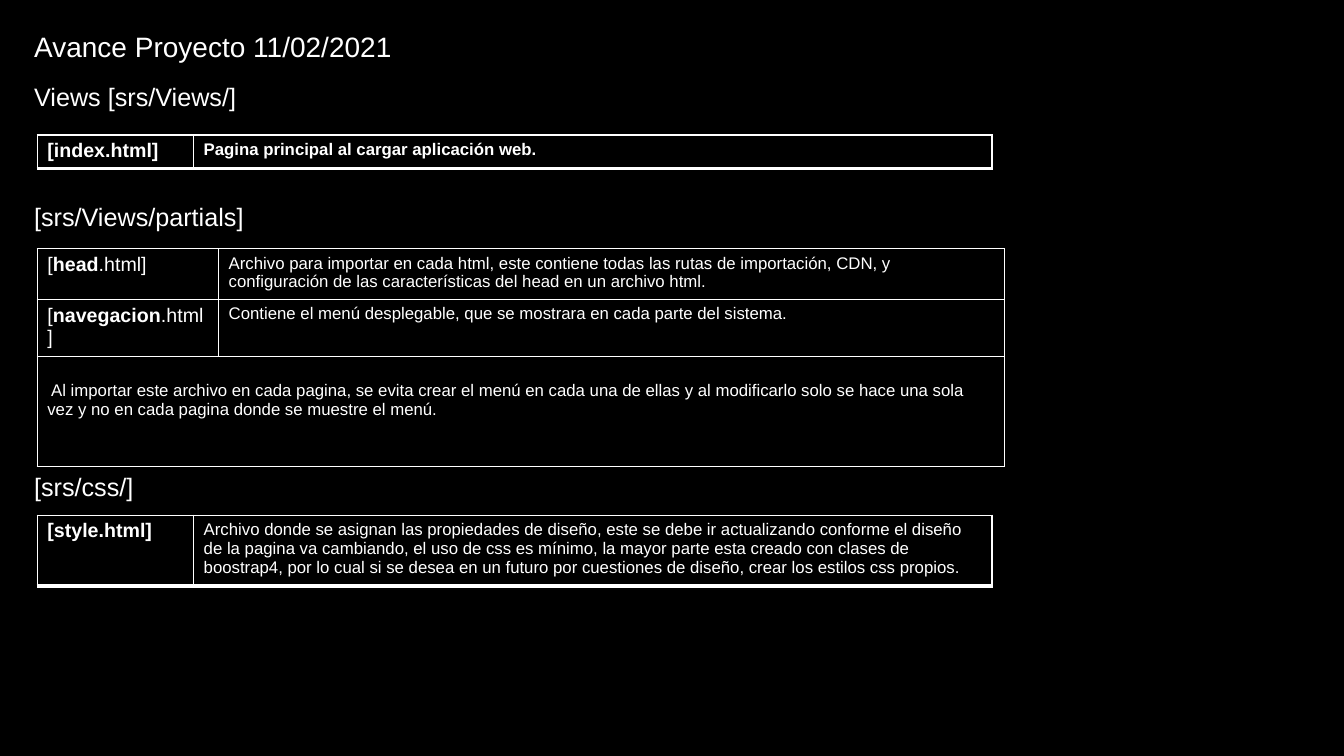
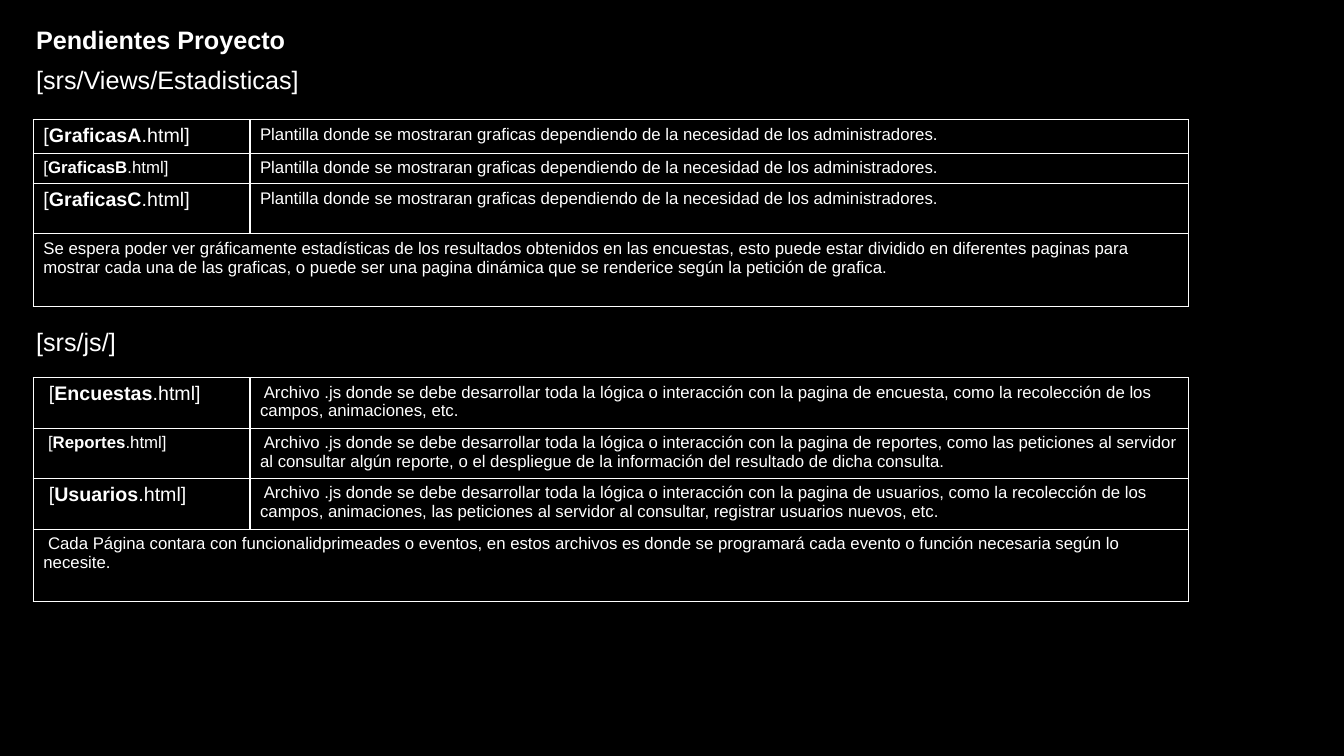
import pptx
import pptx.dml.color
import pptx.enum.text
import pptx.oxml
import pptx.oxml.ns
import pptx.util
from pptx.util import Cm

FONT = "Arial"
BLACK = "000000"
WHITE = "FFFFFF"
HEADING_SIZE = 18
NAME_SIZE = 14
BODY_SIZE = 12
BLANK_LAYOUT = 6

CHART_TEXT = ("Plantilla donde se mostraran graficas dependiendo de la necesidad "
              "de los administradores.")
SCRIPT_TEXT = (" Archivo .js donde se debe desarrollar toda la lógica o interacción "
               "con la pagina de ")


def color(value):
    return pptx.dml.color.RGBColor.from_string(value)


def fill_solid(fill, value):
    fill.solid()
    fill.fore_color.rgb = color(value)


def write(text_frame, text, size=BODY_SIZE, bold=False):
    """Write one paragraph; parts between asterisks are bold."""
    paragraph = text_frame.paragraphs[0]
    for index, part in enumerate(text.split("*")):
        run = paragraph.add_run()
        run.text = part
        run.font.name = FONT
        run.font.size = pptx.util.Pt(size)
        run.font.bold = bold or index % 2 == 1
        run.font.color.rgb = color(WHITE)


def add_heading(slide, text, left, top, width, height=1.02, size=HEADING_SIZE, bold=False):
    box = slide.shapes.add_textbox(Cm(left), Cm(top), Cm(width), Cm(height))
    box.text_frame.word_wrap = True
    box.text_frame.auto_size = pptx.enum.text.MSO_AUTO_SIZE.SHAPE_TO_FIT_TEXT
    write(box.text_frame, text, size=size, bold=bold)


def set_borders(cell, bottom_width):
    properties = cell._tc.get_or_add_tcPr()
    namespace = pptx.oxml.ns.nsdecls("a")
    widths = {"lnL": 1, "lnR": 1, "lnT": 1, "lnB": bottom_width}
    for position, (side, width) in enumerate(widths.items()):
        line = pptx.oxml.parse_xml(
            f'<a:{side} {namespace} w="{pptx.util.Pt(width)}"><a:solidFill>'
            f'<a:srgbClr val="{WHITE}"/></a:solidFill></a:{side}>')
        properties.insert(position, line)


def add_file_table(slide, left, top, column_widths, row_heights, rows,
                   bottom_width=1, note_margin=0.13):
    """Add rows of (name, text, format); a row with no name spans both columns."""
    frame = slide.shapes.add_table(
        len(rows), len(column_widths), Cm(left), Cm(top),
        Cm(sum(column_widths)), Cm(sum(row_heights)))
    table = frame.table
    table.first_row = table.horz_banding = False
    for column, width in zip(table.columns, column_widths):
        column.width = Cm(width)
    for row, height in zip(table.rows, row_heights):
        row.height = Cm(height)
    for cell in table.iter_cells():
        fill_solid(cell.fill, BLACK)
        set_borders(cell, bottom_width)
    for index, (name, text, *options) in enumerate(rows):
        name_cell, text_cell = table.cell(index, 0), table.cell(index, 1)
        if name:
            name_format = options[0] if options else {"size": NAME_SIZE}
            write(name_cell.text_frame, name, **name_format)
            write(text_cell.text_frame, text)
        else:
            name_cell.merge(text_cell)
            name_cell.margin_top = Cm(note_margin)
            write(name_cell.text_frame, text)


def add_progress_slide(presentation):
    slide = presentation.slides.add_slide(presentation.slide_layouts[BLANK_LAYOUT])
    heading_left, table_left = 0.61, 0.94
    single_row = {"column_widths": [3.94, 20.12], "bottom_width": 3}
    add_heading(slide, "Avance Proyecto 11/02/2021", heading_left, 0.61, 19.84,
                height=1.12, size=20)
    add_heading(slide, "Views [srs/Views/]", heading_left, 1.93, 5.8)
    add_file_table(slide, table_left, 3.4, row_heights=[0.84], rows=[
        ("*[index.html]*", "*Pagina principal al cargar aplicación web.*"),
    ], **single_row)
    add_heading(slide, "[srs/Views/partials]", heading_left, 4.95, 6)
    add_file_table(slide, table_left, 6.27, [4.57, 19.8], [1.27, 1.45, 2.77], [
        ("[*head*.html]",
         "Archivo para importar en cada html, este contiene todas las rutas de "
         "importación, CDN, y configuración de las características del head en un "
         "archivo html."),
        ("[*navegacion*.html]",
         "Contiene el menú desplegable, que se mostrara en cada parte del sistema."),
        (None,
         " Al importar este archivo en cada pagina, se evita crear el menú en cada una "
         "de ellas y al modificarlo solo se hace una sola vez y no en cada pagina donde "
         "se muestre el menú."),
    ], note_margin=0.61)
    add_heading(slide, "[srs/css/]", heading_left, 11.76, 3.1)
    add_file_table(slide, table_left, 12.98, row_heights=[1.78], rows=[
        ("*[style.html]*",
         "Archivo donde se asignan las propiedades de diseño, este se debe ir "
         "actualizando conforme el diseño de la pagina va cambiando, el uso de css es "
         "mínimo, la mayor parte esta creado con clases de boostrap4, por lo cual si se "
         "desea en un futuro por cuestiones de diseño, crear los estilos css propios."),
    ], **single_row)


def add_pending_slide(presentation):
    slide = presentation.slides.add_slide(presentation.slide_layouts[BLANK_LAYOUT])
    heading_left, table_left = 0.66, 0.84
    column_widths = [5.46, 23.65]
    small_name = {"size": BODY_SIZE}
    add_heading(slide, "Pendientes Proyecto", heading_left, 0.48, 19.84, bold=True)
    add_heading(slide, "[srs/Views/Estadisticas]", heading_left, 1.5, 7.4)
    add_file_table(slide, table_left, 3.02, column_widths, [0.84, 0.76, 1.26, 1.83], [
        ("[*GraficasA*.html]", CHART_TEXT),
        ("[*GraficasB*.html]", CHART_TEXT, small_name),
        ("[*GraficasC*.html]", CHART_TEXT),
        (None,
         "Se espera poder ver gráficamente estadísticas de los resultados obtenidos en "
         "las encuestas, esto puede estar dividido en diferentes paginas para mostrar "
         "cada una de las graficas, o puede ser una pagina dinámica que se renderice "
         "según la petición de grafica."),
    ])
    add_heading(slide, "[srs/js/]", heading_left, 8.1, 2.8)
    add_file_table(slide, table_left, 9.52, column_widths, [1.27, 1.27, 1.27, 1.83], [
        (" [*Encuestas*.html]",
         SCRIPT_TEXT + "encuesta, como la recolección de los campos, animaciones, etc."),
        (" [*Reportes*.html]",
         SCRIPT_TEXT + "reportes, como las peticiones al servidor al consultar algún "
         "reporte, o el despliegue de la información del resultado de dicha consulta.",
         small_name),
        (" [*Usuarios*.html]",
         SCRIPT_TEXT + "usuarios, como la recolección de los campos, animaciones, las "
         "peticiones al servidor al consultar, registrar usuarios nuevos, etc."),
        (None,
         " Cada Página contara con funcionalidprimeades o eventos, en estos archivos es "
         "donde se programará cada evento o función necesaria según lo necesite."),
    ])


def main():
    presentation = pptx.Presentation()
    presentation.slide_width = Cm(33.87)
    presentation.slide_height = Cm(19.05)
    fill_solid(presentation.slide_master.background.fill, BLACK)
    add_progress_slide(presentation)
    add_pending_slide(presentation)
    presentation.save("out.pptx")


if __name__ == "__main__":
    main()
